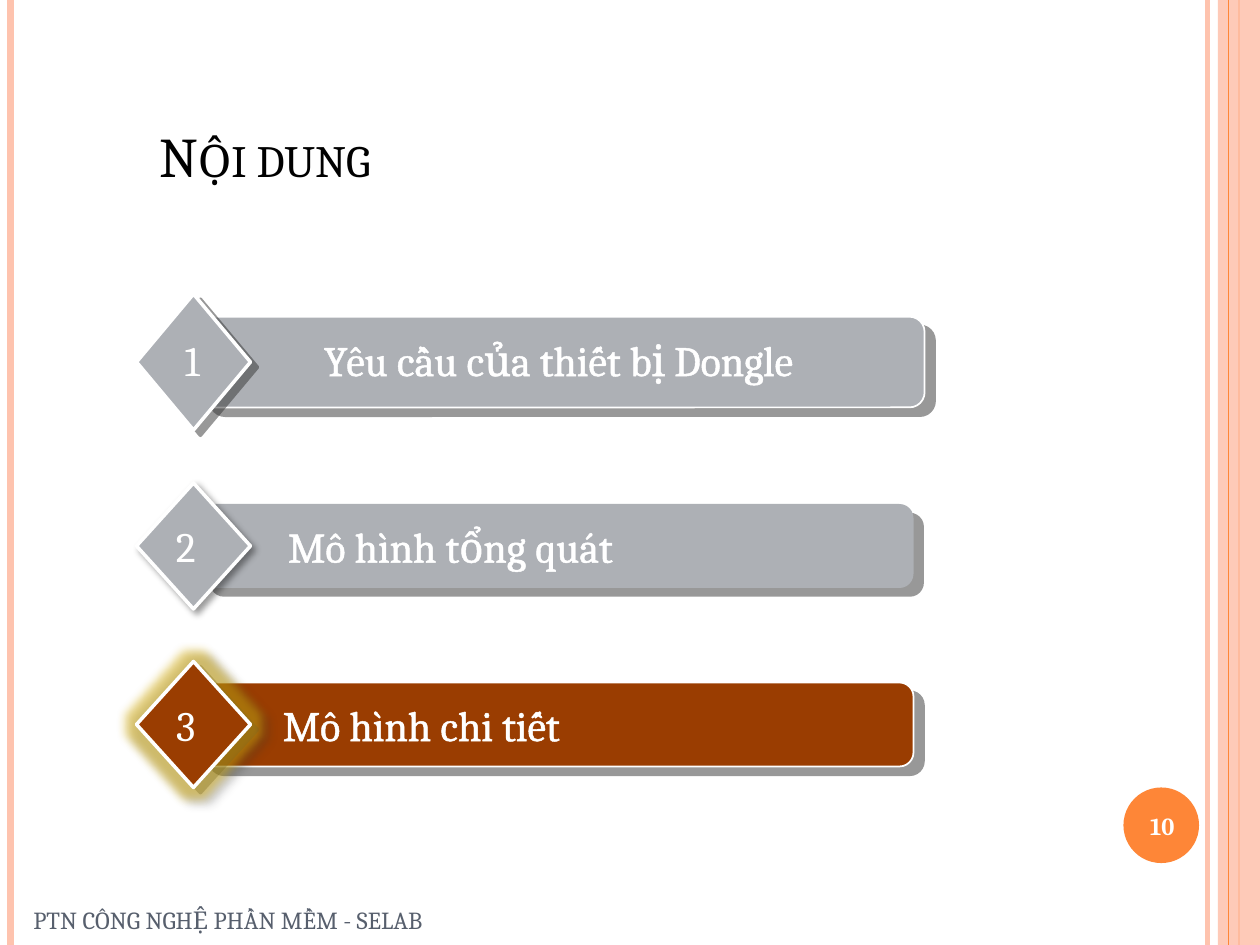
from lxml import etree
from pptx import Presentation
from pptx.dml.color import RGBColor
from pptx.enum.shapes import MSO_CONNECTOR, MSO_SHAPE
from pptx.enum.text import MSO_ANCHOR, PP_ALIGN
from pptx.oxml.ns import qn
from pptx.util import Inches, Pt

RECT, OVAL = MSO_SHAPE.RECTANGLE, MSO_SHAPE.OVAL
ROUND, DIAMOND = MSO_SHAPE.ROUNDED_RECTANGLE, MSO_SHAPE.DIAMOND
TOP, MIDDLE, BOTTOM = MSO_ANCHOR.TOP, MSO_ANCHOR.MIDDLE, MSO_ANCHOR.BOTTOM
LEFT, CENTER = PP_ALIGN.LEFT, PP_ALIGN.CENTER

COLORS = {
    "peach": "FEC3AE", "orange": "FE8637", "gray": "ADB0B5", "brown": "9A3D01",
    "white": "FFFFFF", "black": "000000", "slate": "575F6D", "shade": "333333",
    "gold": "D2AA0A",
}
FONT = "Cambria"
COLS, ROWS = 120, 90  # twelve units to the inch

# Shadows: colour, opacity %, blur pt, distance pt, angle
BAR_SHADE = ("shade", 50, 0, 7.8, 40)
HARD_SHADE = ("shade", 50, 0, 5, 37)
SOFT_SHADE = ("black", 40, 4, 3, 45)


def rgb(name):
    return RGBColor.from_string(COLORS[name])


def tint(node, name, alpha=None):
    color = etree.SubElement(node, qn("a:srgbClr"), val=COLORS[name])
    if alpha is not None:
        etree.SubElement(color, qn("a:alpha"), val=str(alpha * 1000))


class Deck:
    def __init__(self):
        self.prs = Presentation()
        self.prs.slide_width, self.prs.slide_height = Inches(10), Inches(7.5)
        self.slide = self.prs.slides.add_slide(self.prs.slide_layouts[6])
        self.host = self.slide.shapes

    def x(self, cols):
        return round(self.prs.slide_width * cols / COLS)

    def y(self, rows):
        return round(self.prs.slide_height * rows / ROWS)

    def box(self, left, top, width, height):
        return self.x(left), self.y(top), self.x(width), self.y(height)

    def group(self):
        self.host = self.slide.shapes.add_group_shape().shapes

    def rule(self, col, color, width):
        line = self.host.add_connector(
            MSO_CONNECTOR.STRAIGHT, self.x(col), 0, self.x(col), self.y(ROWS))
        line.line.color.rgb = rgb(color)
        line.line.width = Pt(width)
        etree.SubElement(line._element.spPr, qn("a:effectLst"))

    def shape(self, kind, area, fill, alpha=None, edge=0, shade=None, glow=None):
        item = self.host.add_shape(kind, *self.box(*area))
        item.shadow.inherit = False
        item.fill.solid()
        item.fill.fore_color.rgb = rgb(fill)
        props = item._element.spPr
        if alpha is not None:
            color = props.find(qn("a:solidFill"))[0]
            etree.SubElement(color, qn("a:alpha"), val=str(alpha * 1000))
        if edge:
            item.line.color.rgb = rgb("white")
            item.line.width = Pt(edge)
        else:
            item.line.fill.background()
        effects = props.find(qn("a:effectLst"))
        if glow:
            node = etree.SubElement(effects, qn("a:glow"), rad=str(Pt(11)))
            tint(node, glow, 50)
        if shade:
            color, opacity, blur, dist, angle = shade
            node = etree.SubElement(
                effects, qn("a:outerShdw"), blurRad=str(Pt(blur)),
                dist=str(Pt(dist)), dir=str(angle * 60000), algn="ctr",
                rotWithShape="0")
            tint(node, color, opacity)
        return item

    def text(self, words, area, size, color, align=LEFT, anchor=TOP, bold=False,
             wrap=True, inset=0.1, caps=False, outline=False):
        frame = self.host.add_textbox(*self.box(*area)).text_frame
        frame.word_wrap = wrap
        frame.vertical_anchor = anchor
        frame.margin_left = Inches(inset)
        frame.text = words
        para = frame.paragraphs[0]
        para.alignment = align
        run = para.runs[0]
        font = run.font
        font.name, font.size, font.bold = FONT, Pt(size), bold
        font.color.rgb = rgb(color)
        props = run._r.get_or_add_rPr()
        if caps:
            props.set("cap", "small")
        if outline:
            line = etree.Element(qn("a:ln"), w=str(Pt(1.45)))
            tint(etree.SubElement(line, qn("a:solidFill")), "white")
            props.insert(0, line)

    def entry(self, mark, words, top, color, scale=1, edge=1, shade=HARD_SHADE,
              glow=None, start=23, span=61, align=LEFT, inset=0.37):
        self.group()
        bar = self.shape(ROUND, (19, top + 2 * scale, 68 * scale ** 0.2, 8 * scale),
                         color, edge=edge, shade=BAR_SHADE)
        bar.adjustments[0] = 0.167
        self.shape(DIAMOND, (13, top, 10.85, 12 * scale), color, edge=2,
                   shade=shade, glow=glow)
        row = top + 3 * scale
        self.text(words, (start, row, span, 6), 24, "white", align,
                  inset=inset, outline=True)
        middle = 17.7 if scale == 1 else 18.3
        self.text(mark, (middle - 2.4, row, 4.8, 6), 24, "white", CENTER, wrap=False)


def main():
    deck = Deck()

    # Side stripes and number badge
    deck.rule(115, "peach", 3)
    deck.rule(1, "peach", 4.5)
    deck.rule(118, "orange", 1.5)
    deck.shape(RECT, (116, 0, 4, ROWS), "peach", alpha=87)
    deck.rule(117, "orange", 0.75)
    deck.shape(OVAL, (107, 75, 7.2, 7.2), "orange")

    # Title, page number, footer
    deck.text("Nội dung", (14, 3.6, 98, 15), 32, "black", anchor=BOTTOM, caps=True)
    deck.text("10", (106.7, 75.2, 8, 6.8), 14, "white", CENTER, MIDDLE, bold=True)
    deck.text("PTN CÔNG NGHỆ PHẦN MỀM - SELAB", (2, 85.2, 45, 4.8), 14, "slate",
              anchor=MIDDLE)

    # Agenda entries, the last one current
    deck.entry("1", "Yêu cầu của thiết bị Dongle", 28, "gray", scale=1.08,
               start=22.7, align=CENTER, inset=0.1)
    deck.entry("2", "Mô hình tổng quát", 46, "gray", edge=0, shade=SOFT_SHADE)
    deck.entry("3", "Mô hình chi tiết", 63, "brown", glow="gold",
               start=22.5, span=59.5)

    deck.prs.save("out.pptx")


if __name__ == "__main__":
    main()
